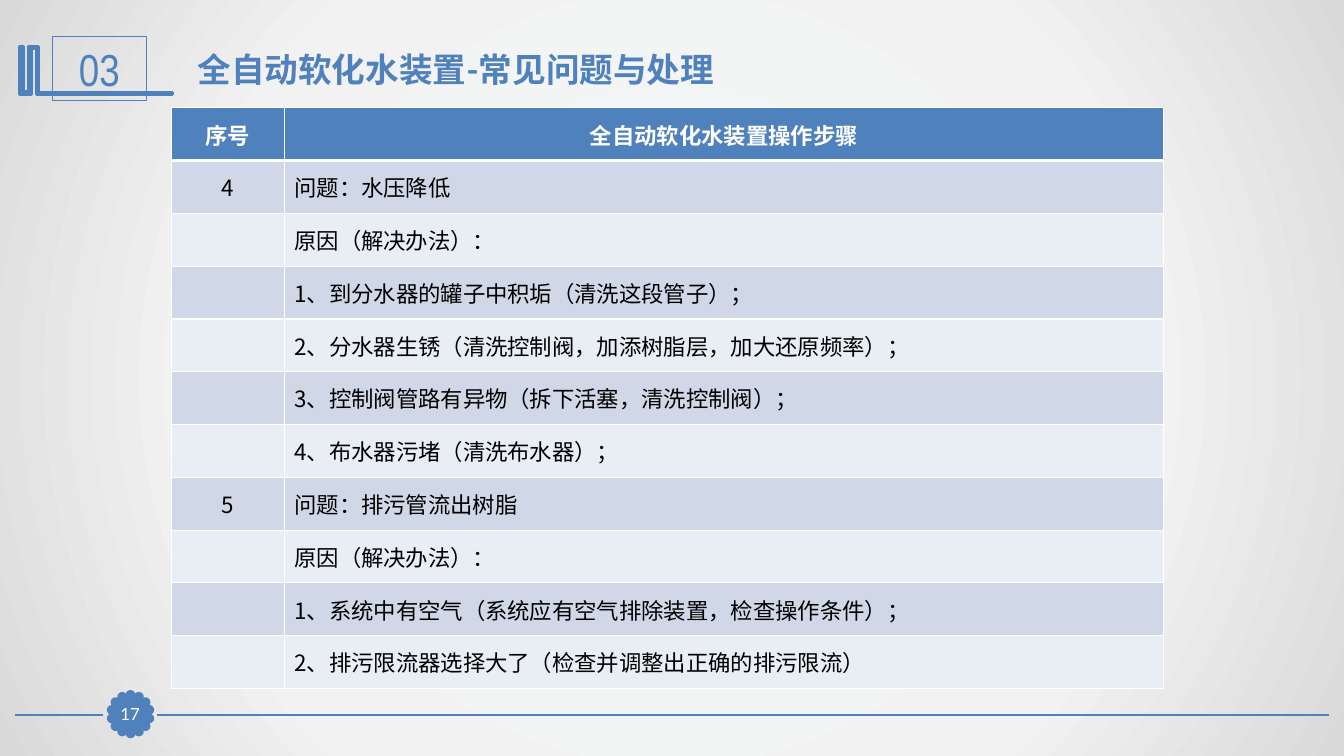
from math import cos, pi, sin

from lxml.etree import SubElement
from pptx import Presentation
from pptx.dml.color import RGBColor
from pptx.enum.shapes import MSO_CONNECTOR as Connector, MSO_SHAPE as Preset
from pptx.enum.text import MSO_ANCHOR as Anchor, PP_ALIGN as Align
from pptx.oxml import parse_xml
from pptx.oxml.ns import qn
from pptx.util import Inches, Pt

COLORS = {
    "blue": "4F81BD",
    "white": "FFFFFF",
    "black": "000000",
    "odd_row": "D0D8E8",
    "even_row": "E9EDF4",
}
BACKGROUND_STOPS = [(0, "F6F9FC"), (63, "F2F2F2"), (100, "D9D9D9")]
CJK_FONT = "Noto Sans CJK SC"
STEPS = [
    ("4", "问题：水压降低"),
    ("", "原因（解决办法）："),
    ("", "1、到分水器的罐子中积垢（清洗这段管子）；"),
    ("", "2、分水器生锈（清洗控制阀，加添树脂层，加大还原频率）；"),
    ("", "3、控制阀管路有异物（拆下活塞，清洗控制阀）；"),
    ("", "4、布水器污堵（清洗布水器）；"),
    ("5", "问题：排污管流出树脂"),
    ("", "原因（解决办法）："),
    ("", "1、系统中有空气（系统应有空气排除装置，检查操作条件）；"),
    ("", "2、排污限流器选择大了（检查并调整出正确的排污限流）"),
]
EMBLEM_POINTS = [
    (0.38, 0.46), (0.38, 0.92), (1.71, 0.92), (1.71, 0.94), (0.36, 0.94),
    (0.36, 0.48), (0.31, 0.48), (0.31, 0.94), (0.19, 0.94), (0.19, 0.46),
    (0.23, 0.46), (0.23, 0.91), (0.28, 0.91), (0.28, 0.46),
]


def rgb(name):
    return RGBColor.from_string(COLORS[name])


def set_background(slide):
    slide.background.fill.gradient()
    gradient = next(slide.element.iter(qn("a:gradFill")))
    stops = "".join(
        f'<a:gs pos="{position * 1000}"><a:srgbClr val="{color}"/></a:gs>'
        for position, color in BACKGROUND_STOPS
    )
    radial = parse_xml(
        '<a:gradFill xmlns:a="http://schemas.openxmlformats.org/drawingml/2006/main"'
        f' rotWithShape="1"><a:gsLst>{stops}</a:gsLst><a:path path="circle">'
        '<a:fillToRect l="50000" t="50000" r="50000" b="50000"/></a:path></a:gradFill>'
    )
    gradient.getparent().replace(gradient, radial)


def add_run(paragraph, text, font, size, color, bold=False):
    run = paragraph.add_run()
    run.text = text
    run.font.name = font
    run.font.size = Pt(size)
    run.font.bold = bold
    run.font.color.rgb = rgb(color)
    SubElement(run.font._element, qn("a:ea")).set("typeface", CJK_FONT)


def style_shape(shape, fill, width):
    shape.shadow.inherit = False
    if fill:
        shape.fill.solid()
        shape.fill.fore_color.rgb = rgb(fill)
    else:
        shape.fill.background()
    shape.line.color.rgb = rgb("blue")
    shape.line.width = Pt(width)


def add_preset(shapes, preset, box, fill, width):
    shape = shapes.add_shape(preset, *map(Inches, box))
    style_shape(shape, fill, width)
    return shape


def add_label(slide, box, text, font, size, color, fill=None, margin=0.1):
    shape = add_preset(slide.shapes, Preset.RECTANGLE, box, fill, 0.75)
    frame = shape.text_frame
    frame.word_wrap = True
    frame.vertical_anchor = Anchor.MIDDLE
    frame.margin_left = frame.margin_right = Inches(margin)
    frame.margin_top = frame.margin_bottom = Inches(margin / 2)
    paragraph = frame.paragraphs[0]
    paragraph.alignment = Align.CENTER
    add_run(paragraph, text, font, size, color)


def add_footer_line(slide, start, end):
    y = Inches(7.09)
    line = slide.shapes.add_connector(
        Connector.STRAIGHT, Inches(start), y, Inches(end), y
    )
    line.line.color.rgb = rgb("blue")
    line.line.width = Pt(1.25)
    SubElement(line._element.spPr, qn("a:effectLst"))


def add_page_badge(slide):
    petals, radius, size = 14, 0.19, 0.07
    group = slide.shapes.add_group_shape()
    for index in range(petals):
        angle = 2 * pi * index / petals
        left = 1.295 + radius * sin(angle) - size / 2
        top = 7.085 - radius * cos(angle) - size / 2
        add_preset(group.shapes, Preset.OVAL, (left, top, size, size), "blue", 2)
    add_label(
        slide, (1.13, 6.93, 0.32, 0.31), "17", "Lato", 12, "white", "blue", 0
    )


def add_emblem(slide):
    points = [(Inches(x), Inches(y)) for x, y in EMBLEM_POINTS]
    builder = slide.shapes.build_freeform(*points[0])
    builder.add_line_segments(points[1:], close=True)
    style_shape(builder.convert_to_shape(), "blue", 2)


def add_title(slide, text):
    title = slide.shapes.add_textbox(*map(Inches, (1.86, 0.44, 9.69, 0.5)))
    title.text_frame.word_wrap = True
    add_run(title.text_frame.paragraphs[0], text, "Lato", 24, "blue", True)


def set_borders(cell, widths):
    properties = cell._tc.get_or_add_tcPr()
    for position, (side, width) in enumerate(zip("LRTB", widths)):
        line = parse_xml(
            f'<a:ln{side} xmlns:a="http://schemas.openxmlformats.org/drawingml/2006/main"'
            f' w="{Pt(width)}"><a:solidFill><a:srgbClr val="{COLORS["white"]}"/>'
            f"</a:solidFill></a:ln{side}>"
        )
        properties.insert(position, line)


def fill_cell(cell, runs, fill, color, bold, align, borders):
    cell.fill.solid()
    cell.fill.fore_color.rgb = rgb(fill)
    cell.vertical_anchor = Anchor.MIDDLE
    paragraph = cell.text_frame.paragraphs[0]
    paragraph.alignment = align
    for text, font in runs:
        add_run(paragraph, text, font, 16, color, bold)
    set_borders(cell, borders)


def add_steps_table(slide):
    frame = slide.shapes.add_table(
        len(STEPS) + 1, 2, *map(Inches, (1.7, 1.07, 9.84, 5.76))
    )
    table = frame.table
    for column, width in zip(table.columns, (1.12, 8.72)):
        column.width = Inches(width)
    headings = [
        [("序号", CJK_FONT)],
        [("全自动软化水装置", "Lato"), ("操作步骤", CJK_FONT)],
    ]
    for column, runs in enumerate(headings):
        fill_cell(
            table.cell(0, column), runs, "blue", "white", True,
            Align.CENTER, (1, 1, 1, 3),
        )
    for row, texts in enumerate(STEPS, 1):
        fill = "odd_row" if row % 2 else "even_row"
        borders = (1, 1, 3 if row == 1 else 1, 1)
        for column, text in enumerate(texts):
            fill_cell(
                table.cell(row, column), [(text, CJK_FONT)] if text else [],
                fill, "black", False, (Align.CENTER, Align.LEFT)[column], borders,
            )


def main():
    presentation = Presentation()
    presentation.slide_width = Inches(13.33)
    presentation.slide_height = Inches(7.5)
    slide = presentation.slides.add_slide(presentation.slide_layouts[6])
    set_background(slide)
    add_footer_line(slide, 13.18, 1.56)
    add_footer_line(slide, 1.02, 0.15)
    add_page_badge(slide)
    add_emblem(slide)
    add_label(slide, (0.52, 0.36, 0.93, 0.64), "03", "Arial Narrow", 32, "blue")
    add_title(slide, "全自动软化水装置-常见问题与处理")
    add_steps_table(slide)
    presentation.save("out.pptx")


if __name__ == "__main__":
    main()
